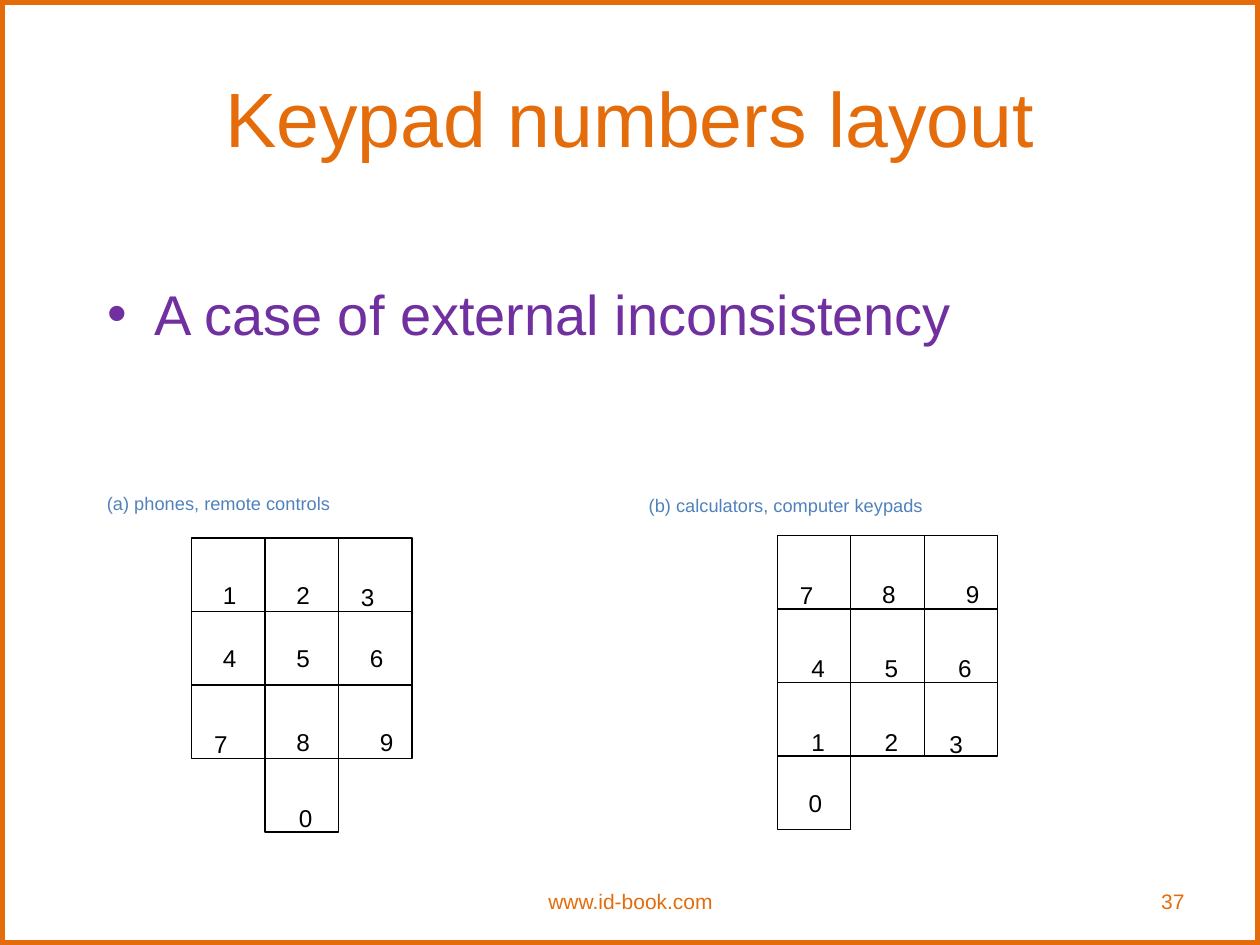
from pptx import Presentation
from pptx.dml.color import RGBColor
from pptx.enum.shapes import MSO_SHAPE as Shape
from pptx.enum.text import MSO_ANCHOR as Anchor, PP_ALIGN as Align
from pptx.util import Inches, Pt

ORANGE = RGBColor(0xE4, 0x6C, 0x0A)
PURPLE = RGBColor(0x70, 0x30, 0xA0)
BLUE = RGBColor(0x4F, 0x81, 0xBD)
BLACK = RGBColor(0, 0, 0)
FONT = "Arial"
WIDTH, HEIGHT = 10, 7.5
KEY = 7 / 12  # side of a square key

# Content: each key is (digit, inset from the left, inset from the top)
TITLE = "Keypad numbers layout"
BODY = "A case of external inconsistency"
FOOTERS = [
    ("37", (7.17, 6.95, 2.33, 0.4), Align.RIGHT),
    ("www.id-book.com", (3.42, 6.95, 3.17, 0.4), Align.CENTER),
]
KEYPADS = [
    {
        "caption": ("(a) phones, remote controls", (0.75, 3.69, 3.29, 0.4)),
        "origin": (1.52, 4.27),
        "rows": [
            [("1", 0.15, 0.06), ("2", 0.15, 0.06), ("3", 0.08, 0.08)],
            [("4", 0.15, -0.02), ("5", 0.15, -0.02), ("6", 0.15, -0.02)],
            [("7", 0.08, 0.08), ("8", 0.15, 0.06), ("9", 0.23, 0.06)],
            [None, ("0", 0.17, 0.08)],
        ],
    },
    {
        "caption": ("(b) calculators, computer keypads", (5.05, 3.71, 3.99, 0.4)),
        "origin": (6.17, 4.25),
        "rows": [
            [("7", 0.08, 0.08), ("8", 0.15, 0.07), ("9", 0.23, 0.07)],
            [("4", 0.17, 0.08), ("5", 0.17, 0.08), ("6", 0.17, 0.08)],
            [("1", 0.17, 0.08), ("2", 0.17, 0.08), ("3", 0.1, 0.1)],
            [("0", 0.15, -0.02)],
        ],
    },
]


def place(shape, box):
    shape.left, shape.top, shape.width, shape.height = map(Inches, box)


def write(shape, text, size, color, align=Align.LEFT, anchor=Anchor.TOP,
          wrap=True, subscript=False):
    frame = shape.text_frame
    frame.word_wrap = wrap
    frame.vertical_anchor = anchor
    paragraph = frame.paragraphs[0]
    paragraph.alignment = align
    run = paragraph.add_run()
    run.text = text
    run.font.name = FONT
    run.font.size = Pt(size)
    run.font.color.rgb = color
    if subscript:
        run.font._element.set("baseline", "-25000")


def add_text(slide, text, box, size, color, **options):
    write(slide.shapes.add_textbox(*map(Inches, box)), text, size, color, **options)


def add_outline(slide, box, color, weight):
    shape = slide.shapes.add_shape(Shape.RECTANGLE, *map(Inches, box))
    shape.shadow.inherit = False
    shape.fill.background()
    shape.line.color.rgb = color
    shape.line.width = Pt(weight)


def add_keypad(slide, keypad):
    left, top = keypad["origin"]
    keys = [(left + column * KEY, top + row * KEY, key)
            for row, line in enumerate(keypad["rows"])
            for column, key in enumerate(line) if key]
    for x, y, _ in keys:
        add_outline(slide, (x, y, KEY, KEY), BLACK, 0.75)
    for x, y, (digit, dx, dy) in keys:
        add_text(slide, digit, (x + dx, y + dy, 0.39, 0.5), 24, BLACK,
                 wrap=False, subscript=True)
    caption, box = keypad["caption"]
    add_text(slide, caption, box, 18, BLUE, wrap=False, subscript=True)


def main():
    presentation = Presentation()
    presentation.slide_width = Inches(WIDTH)
    presentation.slide_height = Inches(HEIGHT)
    slide = presentation.slides.add_slide(presentation.slide_layouts[1])

    # Slide frame
    add_outline(slide, (0, 0, WIDTH, HEIGHT), ORANGE, 6)

    # Title and bullet
    title, body = slide.placeholders
    place(title, (0.5, 0.3, 9, 1.25))
    write(title, TITLE, 44, ORANGE, align=Align.CENTER, anchor=Anchor.MIDDLE)
    place(body, (0.75, 2.17, 8.75, 4.5))
    write(body, BODY, 32, PURPLE)

    # Keypads with captions
    for keypad in KEYPADS:
        add_keypad(slide, keypad)

    # Footer and slide number
    for text, box, align in FOOTERS:
        add_text(slide, text, box, 12, ORANGE, align=align, anchor=Anchor.MIDDLE)

    presentation.save("out.pptx")


if __name__ == "__main__":
    main()
